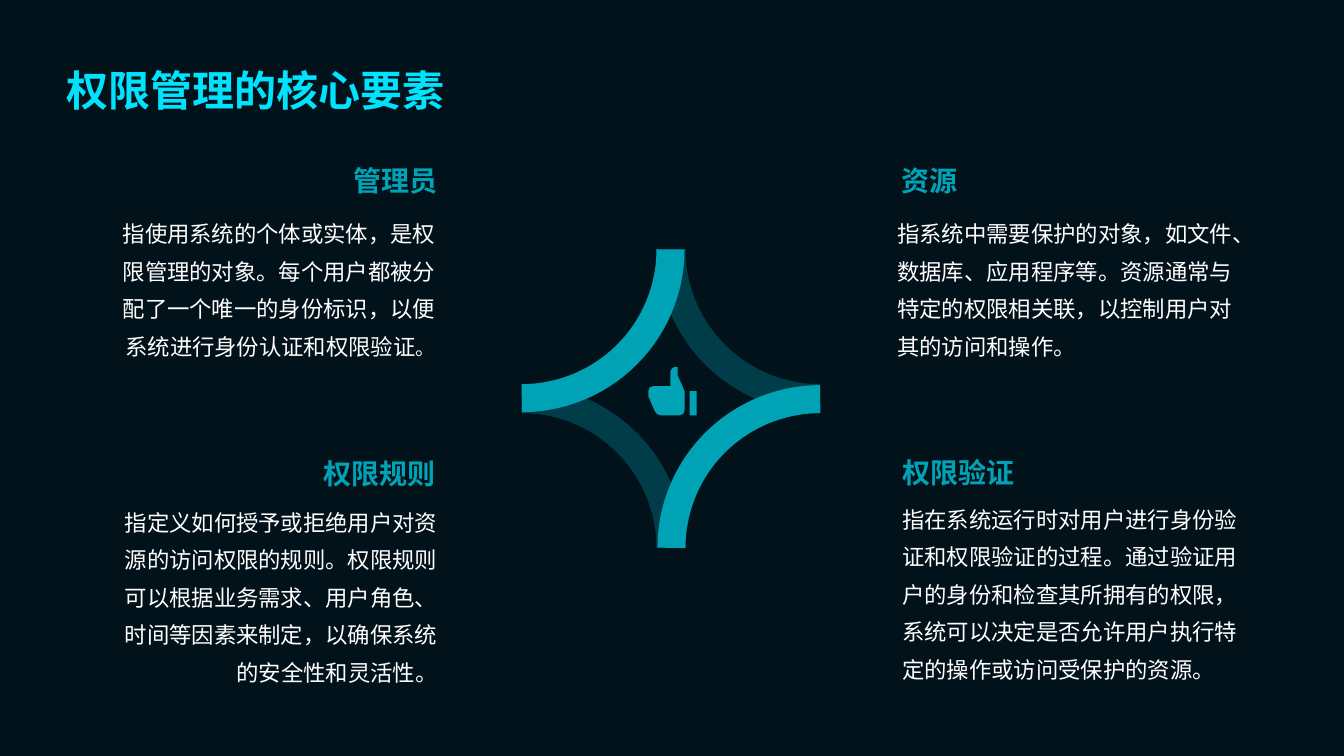
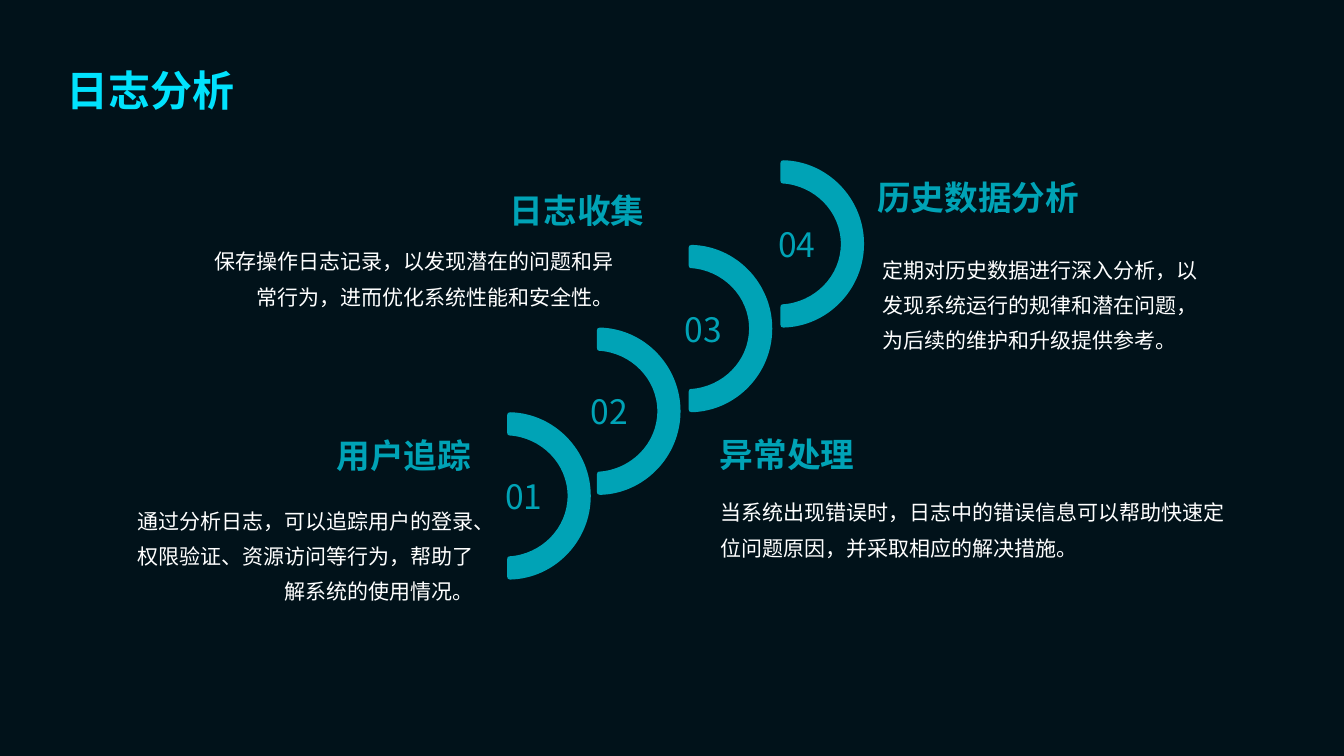
from lxml.etree import SubElement
from pptx import Presentation
from pptx.dml.color import RGBColor
from pptx.enum.shapes import MSO_SHAPE
from pptx.enum.text import MSO_ANCHOR, PP_ALIGN
from pptx.oxml.ns import qn
from pptx.util import Inches, Pt

NIGHT = RGBColor(0x01, 0x12, 0x1A)
CYAN = RGBColor(0x01, 0xE2, 0xFD)
TEAL = RGBColor(0x00, 0xA3, 0xB6)
WHITE = RGBColor(0xFF, 0xFF, 0xFF)
FONT = "Noto Sans CJK SC"
LEFT, CENTER, RIGHT = PP_ALIGN.LEFT, PP_ALIGN.CENTER, PP_ALIGN.RIGHT

# Each topic: alignment, heading, heading place, body, body place.
# Places are left, top, width, height in inches.
# A body is a text, or a list of (text, size) spans.
ELEMENTS_TITLE = "权限管理的核心要素"
ELEMENTS = [
    (RIGHT, "管理员", (1.13, 1.44, 3.28, 0.54),
     [("指使用系统的个体或实体，是权限管理的对象。每个用户都被分配了一个唯一的身份标识，"
       "以便系统进行身份认证和权限验证", 16), ("。", 14)], (1.11, 2.04, 3.28, 1.7)),
    (RIGHT, "权限规则", (1.11, 4.34, 3.28, 0.54),
     "指定义如何授予或拒绝用户对资源的访问权限的规则。权限规则可以根据业务需求、用户角色、"
     "时间等因素来制定，以确保系统的安全性和灵活性。", (1.13, 4.9, 3.28, 1.7)),
    (LEFT, "资源", (8.87, 1.44, 3.28, 0.54),
     "指系统中需要保护的对象，如文件、数据库、应用程序等。资源通常与特定的权限相关联，"
     "以控制用户对其的访问和操作。", (8.83, 2.04, 3.58, 1.7)),
    (LEFT, "权限验证", (8.88, 4.33, 3.28, 0.54),
     "指在系统运行时对用户进行身份验证和权限验证的过程。通过验证用户的身份和检查其所拥有的权限，"
     "系统可以决定是否允许用户执行特定的操作或访问受保护的资源。", (8.88, 4.87, 3.53, 1.7)),
]
ELEMENT_STYLE = dict(head_size=20, head_spacing=1.5, head_anchor=MSO_ANCHOR.MIDDLE,
                     body_size=16, insets=(0.07, 0.04, 0.07, 0.04))

LOGS_TITLE = "日志分析"
LOGS = [
    (RIGHT, "用户追踪", (0.71, 4.16, 4.08, 0.61),
     "通过分析日志，可以追踪用户的登录、权限验证、资源访问等行为，帮助了解系统的使用情况。",
     (1.06, 4.88, 3.76, 1.22)),
    (LEFT, "异常处理", (7.02, 4.15, 4.08, 0.61),
     "当系统出现错误时，日志中的错误信息可以帮助快速定位问题原因，并采取相应的解决措施。",
     (7.03, 4.8, 5.3, 1.22)),
    (LEFT, "历史数据分析", (8.58, 1.6, 4.08, 0.61),
     "定期对历史数据进行深入分析，以发现系统运行的规律和潜在问题，为后续的维护和升级提供参考。",
     (8.63, 2.39, 3.42, 1.22)),
    (RIGHT, "日志收集", (2.43, 1.73, 4.08, 0.61),
     "保存操作日志记录，以发现潜在的问题和异常行为，进而优化系统性能和安全性。",
     (1.86, 2.31, 4.35, 1.22)),
]
LOG_STYLE = dict(head_size=24, head_spacing=1.2, head_anchor=MSO_ANCHOR.BOTTOM,
                 body_size=15, insets=(0.12, 0.06, 0.12, 0.06))

# Number, left of the number, left and vertical middle of its half ring
STEPS = [("01", 4.73, 5.03, 4.92), ("02", 5.58, 5.92, 4.08),
         ("03", 6.51, 6.83, 3.26), ("04", 7.44, 7.74, 2.42)]

STAR_LEFT, STAR_TOP = 3.7, 1.0
ARC_SIZE, ARC_STEP = 2.95, 2.96

# An outline is a start point, then segments: one point is a line,
# three points are a curve (two controls and its end).
HALF_RING = [
    [(0, 0.8)],
    [(0, 0.63)],
    [(0, 0.61), (0.01, 0.6), (0.02, 0.6)],
    [(0.34, 0.58), (0.6, 0.32), (0.6, 0)],
    [(0.6, -0.32), (0.34, -0.58), (0.02, -0.6)],
    [(0.01, -0.6), (0, -0.61), (0, -0.63)],
    [(0, -0.8)],
    [(0, -0.82), (0.01, -0.83), (0.03, -0.83)],
    [(0.47, -0.82), (0.83, -0.45), (0.83, 0)],
    [(0.83, 0.45), (0.47, 0.82), (0.03, 0.83)],
    [(0.01, 0.83), (0, 0.82), (0, 0.8)],
]
HAND = [
    [(6.69, 3.64)],
    [(6.72, 3.64)],
    [(6.72, 3.72)],
    [(6.79, 3.88)],
    [(6.79, 4.07)],
    [(6.79, 4.1), (6.77, 4.12), (6.74, 4.12)],
    [(6.55, 4.12)],
    [(6.53, 4.12), (6.5, 4.1), (6.49, 4.07)],
    [(6.43, 3.93)],
    [(6.43, 3.88)],
    [(6.43, 3.85), (6.45, 3.83), (6.48, 3.83)],
    [(6.65, 3.83)],
    [(6.65, 3.69)],
    [(6.65, 3.67), (6.67, 3.64), (6.69, 3.64)],
]
CUFF = [[(6.84, 3.88)], [(6.91, 3.88)], [(6.91, 4.12)], [(6.84, 4.12)]]


def add_text(page, place, text, size, color, bold=False, align=LEFT, spacing=1.0,
             anchor=MSO_ANCHOR.TOP, insets=(0.1, 0.05, 0.1, 0.05)):
    """Add a text box; text is a string or a list of (text, size) spans."""
    box = page.shapes.add_textbox(*map(Inches, place))
    frame = box.text_frame
    frame.word_wrap = True
    frame.vertical_anchor = anchor
    (frame.margin_left, frame.margin_top,
     frame.margin_right, frame.margin_bottom) = map(Inches, insets)
    para = frame.paragraphs[0]
    para.alignment = align
    para.line_spacing = spacing
    for words, points in [(text, size)] if isinstance(text, str) else text:
        span = para.add_run()
        span.text = words
        span.font.size = Pt(points)
        span.font.bold = bold
        span.font.color.rgb = color
        span.font.name = FONT
        SubElement(span.font._element, qn("a:ea")).set("typeface", FONT)


def add_page(deck):
    page = deck.slides.add_slide(deck.slide_layouts[6])
    page.background.fill.solid()
    page.background.fill.fore_color.rgb = NIGHT
    return page


def add_title(page, title):
    add_text(page, (0.52, 0.29, 12.29, 1), title, 30, CYAN, bold=True, spacing=1.4,
             anchor=MSO_ANCHOR.MIDDLE, insets=(0.14, 0.14, 0.06, 0.14))


def add_topics(page, topics, head_size, head_spacing, head_anchor, body_size, insets):
    for align, heading, head_place, body, body_place in topics:
        add_text(page, head_place, heading, head_size, TEAL, bold=True, align=align,
                 spacing=head_spacing, anchor=head_anchor, insets=insets)
        add_text(page, body_place, body, body_size, WHITE, align=align,
                 spacing=1.4, insets=insets)


def add_arc(page, col, row):
    """Draw one quarter of the star; two opposite quarters are faded."""
    arc = page.shapes.add_shape(
        MSO_SHAPE.ARC, Inches(STAR_LEFT + col * ARC_STEP),
        Inches(STAR_TOP + row * ARC_STEP), Inches(ARC_SIZE), Inches(ARC_SIZE))
    arc.shadow.inherit = False
    arc.fill.background()
    arc.line.color.rgb = TEAL
    arc.line.width = Pt(20)
    xfrm = arc._element.spPr.get_or_add_xfrm()
    xfrm.set("flipH", str(col))
    xfrm.set("flipV", str(1 - row))
    if col != row:
        color = arc._element.spPr.find(".//" + qn("a:srgbClr"))
        SubElement(color, qn("a:alpha")).set("val", "30000")


def bend_lines(shape, segments):
    """Merge the three lines of each curved segment into one Bezier curve."""
    lines = iter(list(shape._element.iter(qn("a:lnTo"))))
    for segment in segments:
        first, *others = [next(lines) for _ in segment]
        if others:
            first.tag = qn("a:cubicBezTo")
            for line in others:
                first.append(line[0])
                line.getparent().remove(line)


def add_outline(page, *outlines, left=0, top=0):
    def place(point):
        return Inches(left + point[0]), Inches(top + point[1])

    builder = page.shapes.build_freeform(*place(outlines[0][0][0]), scale=1.0)
    for i, (start, *segments) in enumerate(outlines):
        if i:
            builder.move_to(*place(start[0]))
        points = [place(point) for segment in segments for point in segment]
        builder.add_line_segments(points, close=False)
    shape = builder.convert_to_shape()
    bend_lines(shape, [segment for outline in outlines for segment in outline[1:]])
    shape.shadow.inherit = False
    shape.fill.solid()
    shape.fill.fore_color.rgb = TEAL
    shape.line.fill.background()


def build_elements(deck):
    page = add_page(deck)
    add_topics(page, ELEMENTS, **ELEMENT_STYLE)
    add_title(page, ELEMENTS_TITLE)
    for row in (1, 0):
        for col in (0, 1):
            add_arc(page, col, row)
    add_outline(page, HAND, CUFF + CUFF[:1])


def build_logs(deck):
    page = add_page(deck)
    for _, _, left, middle in STEPS:
        add_outline(page, HALF_RING, left=left, top=middle)
    add_topics(page, LOGS, **LOG_STYLE)
    add_title(page, LOGS_TITLE)
    for number, left, _, middle in STEPS:
        add_text(page, (left, middle - 0.25, 0.93, 0.5), number, 24, TEAL,
                 align=CENTER, anchor=MSO_ANCHOR.MIDDLE)


def main():
    deck = Presentation()
    deck.slide_width, deck.slide_height = Inches(13.33), Inches(7.5)
    build_elements(deck)
    build_logs(deck)
    deck.save("out.pptx")


if __name__ == "__main__":
    main()
